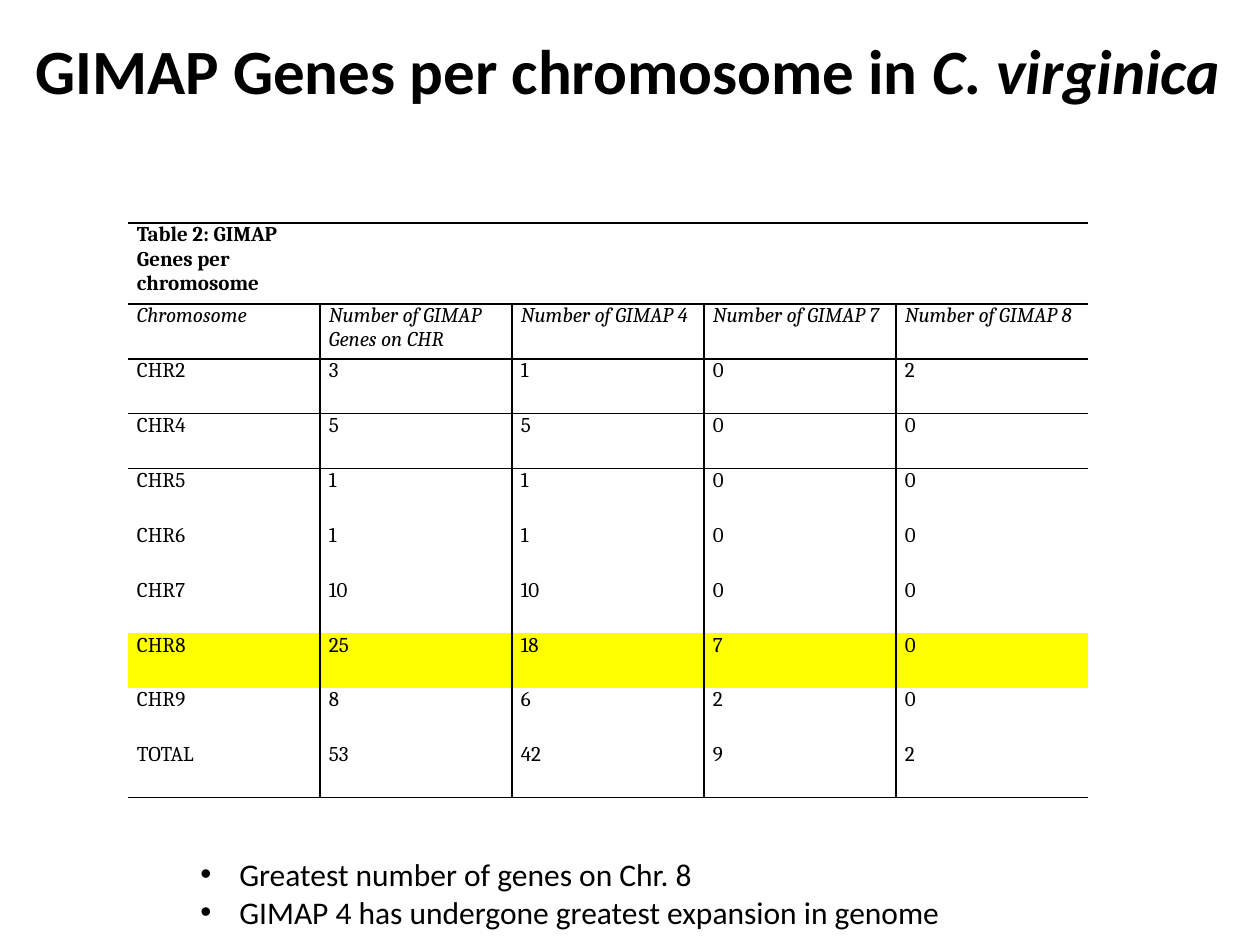
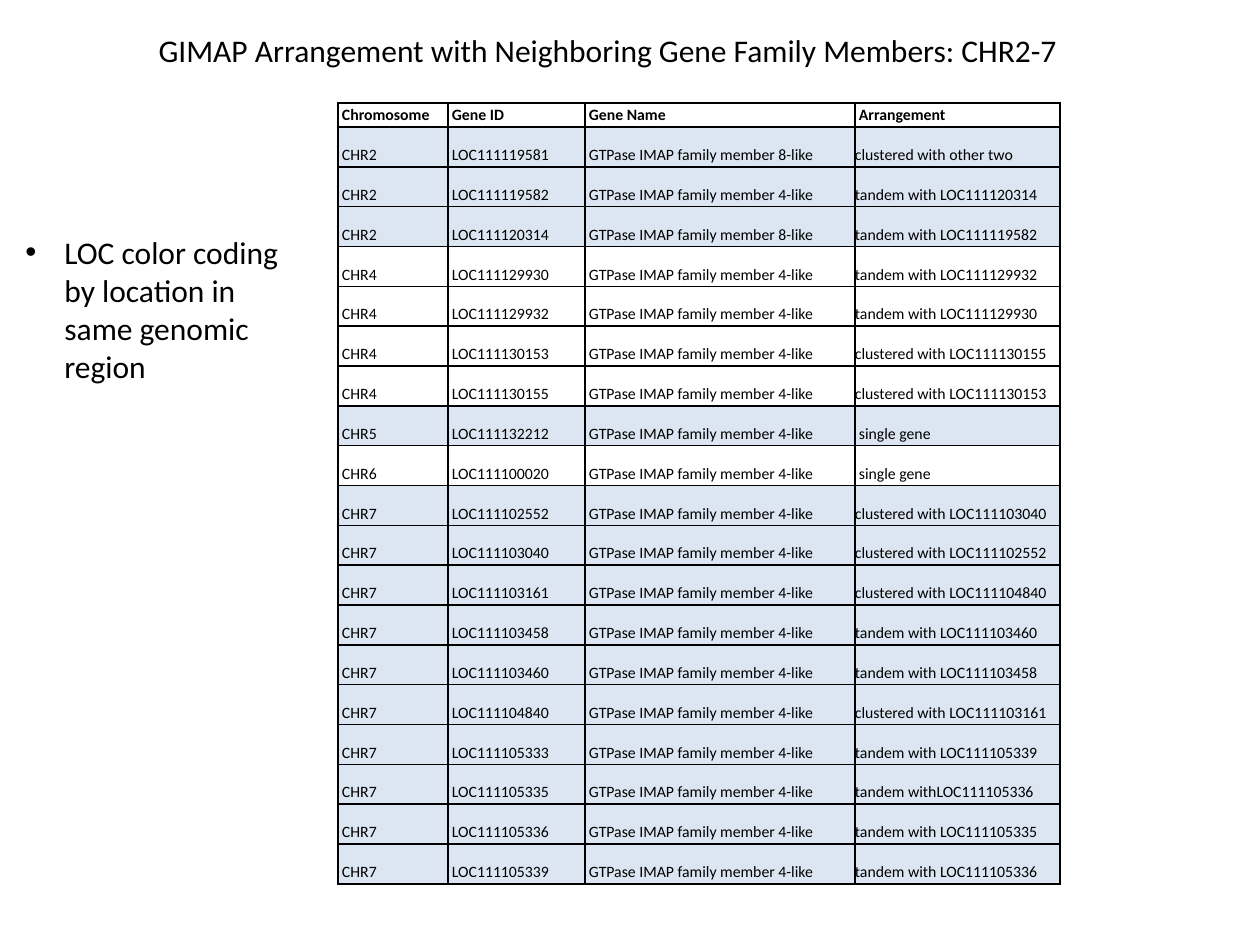
from lxml import etree
from pptx import Presentation
from pptx.dml.color import RGBColor
from pptx.enum.text import MSO_ANCHOR, MSO_AUTO_SIZE, PP_ALIGN
from pptx.oxml.ns import qn
from pptx.util import Emu, Pt

TOP, BOTTOM = MSO_ANCHOR.TOP, MSO_ANCHOR.BOTTOM
LEFT, CENTER = PP_ALIGN.LEFT, PP_ALIGN.CENTER
NO_FIT = MSO_AUTO_SIZE.NONE

# Shared look
SCALE = 914400 / 126
TITLE_ONLY = 5
SANS, SERIF = "Calibri", "Cambria"
BLACK, YELLOW, PALE_BLUE = "000000", "FFFF00", "DCE6F2"
NO_STYLE = "{2D5ABB26-0587-4C30-8999-92F81FD0307C}"
BULLET_INDENT = 39

# Gene counts per chromosome
COUNT_HEAD = ["Chromosome", "Number of GIMAP Genes on CHR", "Number of GIMAP 4",
              "Number of GIMAP 7", "Number of GIMAP 8"]
COUNTS = [
    ["CHR2", 3, 1, 0, 2],
    ["CHR4", 5, 5, 0, 0],
    ["CHR5", 1, 1, 0, 0],
    ["CHR6", 1, 1, 0, 0],
    ["CHR7", 10, 10, 0, 0],
    ["CHR8", 25, 18, 7, 0],
    ["CHR9", 8, 6, 2, 0],
    ["TOTAL", 53, 42, 9, 2],
]

# Genes by chromosome: ID, family member, arrangement
GENE_HEAD = ["Chromosome", "Gene ID", "Gene Name", "Arrangement"]
GENES = {
    "CHR2": [("LOC111119581", 8, "clustered with other two"),
             ("LOC111119582", 4, "tandem with LOC111120314"),
             ("LOC111120314", 8, "tandem with LOC111119582")],
    "CHR4": [("LOC111129930", 4, "tandem with LOC111129932"),
             ("LOC111129932", 4, "tandem with LOC111129930"),
             ("LOC111130153", 4, "clustered with LOC111130155"),
             ("LOC111130155", 4, "clustered with LOC111130153")],
    "CHR5": [("LOC111132212", 4, "single gene")],
    "CHR6": [("LOC111100020", 4, "single gene")],
    "CHR7": [("LOC111102552", 4, "clustered with LOC111103040"),
             ("LOC111103040", 4, "clustered with LOC111102552"),
             ("LOC111103161", 4, "clustered with LOC111104840"),
             ("LOC111103458", 4, "tandem with LOC111103460"),
             ("LOC111103460", 4, "tandem with LOC111103458"),
             ("LOC111104840", 4, "clustered with LOC111103161"),
             ("LOC111105333", 4, "tandem with LOC111105339"),
             ("LOC111105335", 4, "tandem withLOC111105336"),
             ("LOC111105336", 4, "tandem with LOC111105335"),
             ("LOC111105339", 4, "tandem with LOC111105336")],
}


def px(n):
    return Emu(round(n * SCALE))


def box(*lengths):
    return [px(n) for n in lengths]


def color(hex_code):
    return RGBColor.from_string(hex_code)


def style(r, size, font=SANS, bold=False, italic=False):
    r.font.name, r.font.size = font, Pt(size)
    r.font.bold, r.font.italic = bold, italic
    r.font.color.rgb = color(BLACK)


def add_title(s, place, parts, size, bold=False, align=LEFT, top_inset=6):
    """Fill the title with (text, italic) parts."""
    sp = s.shapes.title
    sp.left, sp.top, sp.width, sp.height = box(*place)
    tf = sp.text_frame
    tf.auto_size, tf.vertical_anchor = NO_FIT, TOP
    tf.margin_top = px(top_inset)
    p = tf.paragraphs[0]
    p.alignment = align
    for text, italic in parts:
        r = p.add_run()
        r.text = text
        style(r, size, bold=bold, italic=italic)


def add_bullets(s, place, lines):
    tf = s.shapes.add_textbox(*box(*place)).text_frame
    tf.word_wrap = True
    tf.text = "\n".join(lines)
    for p in tf.paragraphs:
        pPr = p._p.get_or_add_pPr()
        pPr.set("marL", str(px(BULLET_INDENT)))
        pPr.set("indent", str(-px(BULLET_INDENT)))
        etree.SubElement(pPr, qn("a:buFont"), typeface="Arial")
        etree.SubElement(pPr, qn("a:buChar"), char="•")
        style(p.runs[0], 18)


def add_plain_table(s, left, top, widths, heights):
    shape = s.shapes.add_table(len(heights), len(widths),
                               *box(left, top, sum(widths), sum(heights)))
    table = shape.table
    table.first_row = table.horz_banding = False
    table._tbl.tblPr.find(qn("a:tableStyleId")).text = NO_STYLE
    for column, width in zip(table.columns, widths):
        column.width = px(width)
    for row, height in zip(table.rows, heights):
        row.height = px(height)
    return table


def set_borders(cell, sides):
    """Draw 1 pt lines on the sides named by the letters L, R, T, B."""
    tcPr = cell._tc.get_or_add_tcPr()
    for i, side in enumerate(x for x in "LRTB" if x in sides):
        ln = etree.Element(qn(f"a:ln{side}"), w=str(Pt(1)))
        fill = etree.SubElement(ln, qn("a:solidFill"))
        etree.SubElement(fill, qn("a:srgbClr"), val=BLACK)
        tcPr.insert(i, ln)


def fill_cell(cell, text, size, insets, sides, fill=None, anchor=TOP, **font):
    cell.text = str(text)
    cell.vertical_anchor = anchor
    cell.margin_left = cell.margin_right = px(insets[0])
    cell.margin_top = cell.margin_bottom = px(insets[1])
    for r in cell.text_frame.paragraphs[0].runs:
        style(r, size, **font)
    if fill:
        cell.fill.solid()
        cell.fill.fore_color.rgb = color(fill)
    else:
        cell.fill.background()
    set_borders(cell, sides)


def add_count_table(s):
    rows = [["Table 2: GIMAP Genes per chromosome"] + [""] * 4, COUNT_HEAD] + COUNTS
    body = len(rows) - 1
    table = add_plain_table(s, 128, 223, [192] * 5, [81] + [494 / body] * body)
    ruled_below = {0, 1, 2, body}
    for i, row in enumerate(rows):
        for j, value in enumerate(row):
            sides = "L" if i and j else ""
            sides += "R" if i and j < len(row) - 1 else ""
            sides += "T" if i == 0 or i - 1 in ruled_below else ""
            sides += "B" if i in ruled_below else ""
            fill_cell(table.cell(i, j), value, 12, (9, 0), sides,
                      fill=YELLOW if row[0] == "CHR8" else None,
                      font=SERIF, bold=i == 0, italic=i == 1)


def add_gene_table(s):
    # Chromosomes alternate between shaded and plain
    rows = [(GENE_HEAD, None)]
    for n, (chromosome, genes) in enumerate(GENES.items()):
        for gene, member, arrangement in genes:
            name = f"GTPase IMAP family member {member}-like"
            rows.append(([chromosome, gene, name, arrangement],
                         None if n % 2 else PALE_BLUE))
    body = len(rows) - 1
    table = add_plain_table(s, 338, 103, [110, 137, 270, 205],
                            [24] + [757 / body] * body)
    for i, (row, fill) in enumerate(rows):
        for j, value in enumerate(row):
            side_inset = 0 if " with" in value else 4
            fill_cell(table.cell(i, j), value, 9, (side_inset, 2), "LRTB",
                      fill=fill, anchor=BOTTOM, bold=i == 0)


def build_counts_slide(prs):
    s = prs.slides.add_slide(prs.slide_layouts[TITLE_ONLY])
    add_title(s, (14, 29, 1227, 158),
              [("GIMAP Genes per chromosome in ", False), ("C. virginica", True)],
              36, bold=True, align=CENTER, top_inset=2)
    add_count_table(s)
    add_bullets(s, (188, 849, 769, 89),
                ["Greatest number of genes on Chr. 8",
                 "GIMAP 4 has undergone greatest expansion in genome"])


def build_arrangement_slide(prs):
    s = prs.slides.add_slide(prs.slide_layouts[TITLE_ONLY])
    add_gene_table(s)
    add_title(s, (146, 25, 950, 50),
              [("GIMAP Arrangement with Neighboring Gene Family Members: CHR2-7", False)],
              18)
    add_bullets(s, (13, 227, 297, 165),
                ["LOC color coding by location in same genomic region"])


def main():
    prs = Presentation()
    prs.slide_width, prs.slide_height = box(1260, 945)
    build_counts_slide(prs)
    build_arrangement_slide(prs)
    prs.save("out.pptx")


if __name__ == "__main__":
    main()
